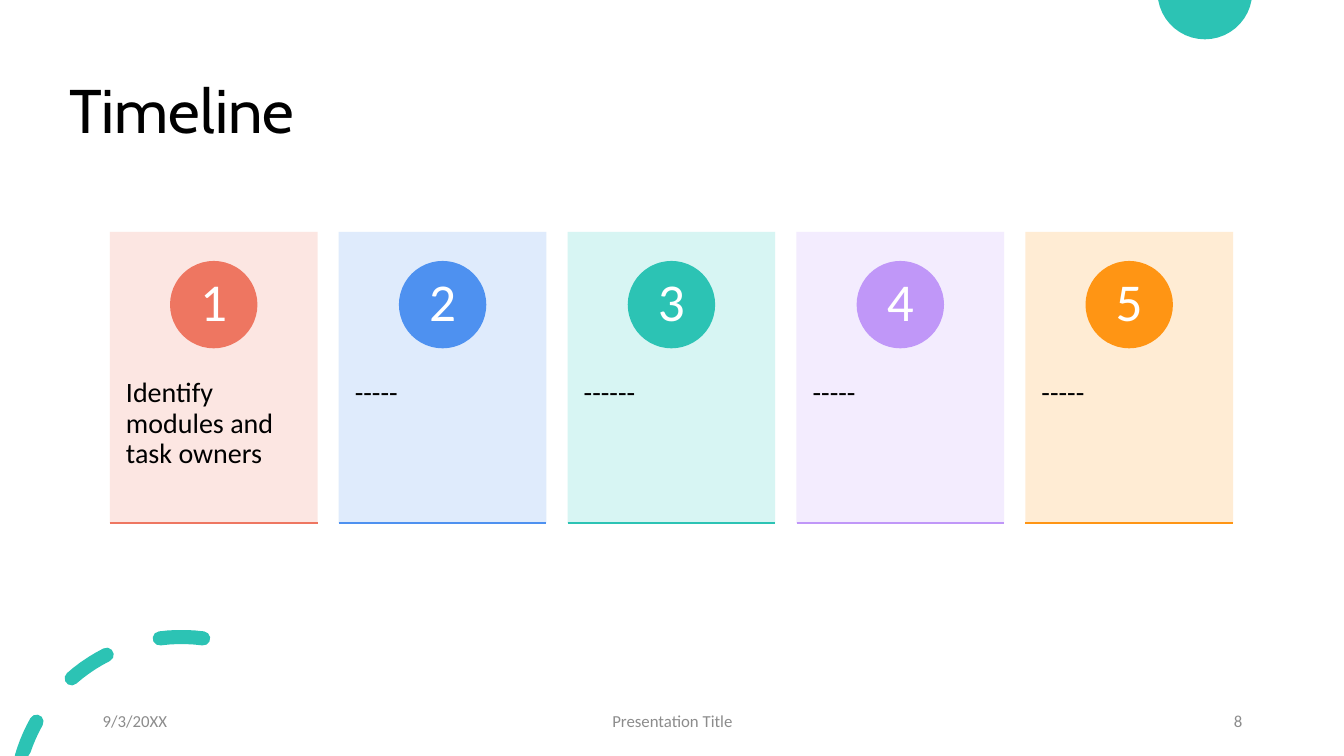
from math import acos, cos, degrees, radians, sin

from lxml import etree
from pptx import Presentation
from pptx.dml.color import RGBColor
from pptx.enum.shapes import MSO_CONNECTOR, MSO_SHAPE
from pptx.enum.text import MSO_ANCHOR, MSO_AUTO_SIZE, PP_ALIGN
from pptx.oxml.ns import qn
from pptx.util import Inches, Pt

RECT, OVAL = MSO_SHAPE.RECTANGLE, MSO_SHAPE.OVAL
STRAIGHT = MSO_CONNECTOR.STRAIGHT
LEFT, CENTER, RIGHT = PP_ALIGN.LEFT, PP_ALIGN.CENTER, PP_ALIGN.RIGHT
TOP, MIDDLE = MSO_ANCHOR.TOP, MSO_ANCHOR.MIDDLE

WIDTH, HEIGHT = 13.33, 7.5
BLACK = RGBColor(0x00, 0x00, 0x00)
WHITE = RGBColor(0xFF, 0xFF, 0xFF)
GRAY = RGBColor(0x8C, 0x8C, 0x8C)
CORAL = RGBColor(0xEE, 0x76, 0x61)
BLUE = RGBColor(0x4E, 0x91, 0xF0)
TEAL = RGBColor(0x2C, 0xC3, 0xB4)
LILAC = RGBColor(0xC0, 0x97, 0xF8)
ORANGE = RGBColor(0xFF, 0x95, 0x14)
PALE_CORAL = RGBColor(0xFC, 0xE4, 0xDF)
PALE_BLUE = RGBColor(0xDC, 0xE9, 0xFC)
PALE_TEAL = RGBColor(0xD3, 0xF5, 0xF2)
PALE_LILAC = RGBColor(0xF2, 0xEA, 0xFE)
PALE_ORANGE = RGBColor(0xFF, 0xEA, 0xD0)

STEPS = [
    ("Identify modules and task owners", CORAL, PALE_CORAL),
    ("-----", BLUE, PALE_BLUE),
    ("------", TEAL, PALE_TEAL),
    ("-----", LILAC, PALE_LILAC),
    ("-----", ORANGE, PALE_ORANGE),
]


def inches(*values):
    return [Inches(value) for value in values]


def paint(shape, color):
    shape.shadow.inherit = False
    shape.fill.solid()
    shape.fill.fore_color.rgb = color
    shape.line.fill.background()


def write(shape, text, size, color, align=LEFT, anchor=MIDDLE,
          font="Calibri", pads=(0.1, 0.05), spacing=0.9):
    frame = shape.text_frame
    frame.text = text
    frame.word_wrap = True
    frame.auto_size = MSO_AUTO_SIZE.NONE
    frame.vertical_anchor = anchor
    frame.margin_left = frame.margin_right = Inches(pads[0])
    frame.margin_top = frame.margin_bottom = Inches(pads[1])
    para = frame.paragraphs[0]
    para.alignment = align
    para.line_spacing = spacing
    face = para.runs[0].font
    face.name, face.size, face.color.rgb = font, Pt(size), color


def arc(mid, radius, start, end, count=5):
    """Points on a circle; degrees run clockwise from the top."""
    turns = [radians(start + (end - start) * i / count) for i in range(count + 1)]
    return [(mid[0] + radius * sin(t), mid[1] - radius * cos(t)) for t in turns]


def outline(slide, loops, color):
    """Draw closed loops as one shape, cut off at the slide's edges."""
    loops = [[inches(x, min(max(y, 0), HEIGHT)) for x, y in loop] for loop in loops]
    builder = slide.shapes.build_freeform(*loops[0][0])
    for i, loop in enumerate(loops):
        if i:
            builder.move_to(*loop[0])
        builder.add_line_segments(loop[1:], close=True)
    paint(builder.convert_to_shape(), color)


def dash(mid, radius, half, start, end):
    """Outline of a curved stroke with round ends."""
    first, last = (arc(mid, radius, a, a, 1)[0] for a in (start, end))
    return (arc(mid, radius + half, start, end)
            + arc(last, half, end + 90, end + 270)[1:-1]
            + arc(mid, radius - half, end, start)
            + arc(first, half, start + 270, start + 450)[1:-1])


def cap_dash(mid, radius, half, start, end):
    """Outline of a curved stroke; its ends bulge along the circle."""
    first, last = (arc(mid, radius, a, a, 1)[0] for a in (start, end))
    return (arc(mid, radius + half, start, end)
            + arc(last, half, end, end + 180)[1:-1]
            + arc(mid, radius - half, end, start)
            + arc(first, half, start + 180, start + 360)[1:-1])


def add_decor(slide):
    radius, rise = 0.47, 0.08
    edge = degrees(acos(-rise / radius))
    outline(slide, [arc((11.95, -rise), radius, edge, 360 - edge, 20)], TEAL)
    spans = [(-74, -60.6), (-41.3, -26.7), (-7.5, 7.5)]
    outline(slide, [cap_dash((1.8, 7.97), 1.65, 0.07, *span) for span in spans], TEAL)


def add_title(slide, left, top, width, height):
    title = slide.shapes.title
    title.left, title.top, title.width, title.height = inches(left, top, width, height)
    write(title, "Timeline", 44, BLACK, font="Cabin")


def add_card(slide, left, top, width, height, number, step):
    text, strong, pale = step
    shapes = slide.shapes
    card = shapes.add_shape(RECT, *inches(left, top, width, height))
    paint(card, pale)
    tint = card._element.spPr.find(qn("a:solidFill"))[0]
    etree.SubElement(tint, qn("a:alpha")).set("val", "90000")

    label = shapes.add_textbox(
        *inches(left, top + 0.38 * height, width, 0.6 * height))
    write(label, text, 20, BLACK, anchor=TOP, pads=(0.16, 0.36))

    size = 0.3 * height
    badge = shapes.add_shape(
        OVAL, *inches(left + (width - size) / 2, top + 0.1 * height, size, size))
    paint(badge, strong)
    write(badge, str(number), 38, WHITE, CENTER, pads=(0.07, 0.01))

    base = top + height
    rule = shapes.add_connector(STRAIGHT, *inches(left, base, left + width, base))
    rule.line.color.rgb = strong
    rule.line.width = Pt(1)
    etree.SubElement(rule._element.spPr, qn("a:effectLst"))


def add_cards(slide, left, top, width, height):
    gap = 0.21
    wide = (width - gap * (len(STEPS) - 1)) / len(STEPS)
    for i, step in enumerate(STEPS):
        add_card(slide, left + i * (wide + gap), top, wide, height, i + 1, step)


def add_footer(slide, left, top, width, height):
    side, mid = 3, 4.5
    parts = [
        ("9/3/20XX", left, side, LEFT),
        ("Presentation Title", left + (width - mid) / 2, mid, CENTER),
        ("8", left + width - side, side, RIGHT),
    ]
    for text, start, wide, align in parts:
        box = slide.shapes.add_textbox(*inches(start, top, wide, height))
        write(box, text, 12, GRAY, align, spacing=1.0)


def main():
    deck = Presentation()
    deck.slide_width, deck.slide_height = inches(WIDTH, HEIGHT)
    slide = deck.slides.add_slide(deck.slide_layouts[5])
    add_decor(slide)
    add_title(slide, 0.59, 0.4, 11.5, 1.45)
    add_cards(slide, 1.09, 2.3, 11.14, 2.89)
    add_footer(slide, 0.92, 6.95, 11.5, 0.4)
    deck.save("out.pptx")


if __name__ == "__main__":
    main()
